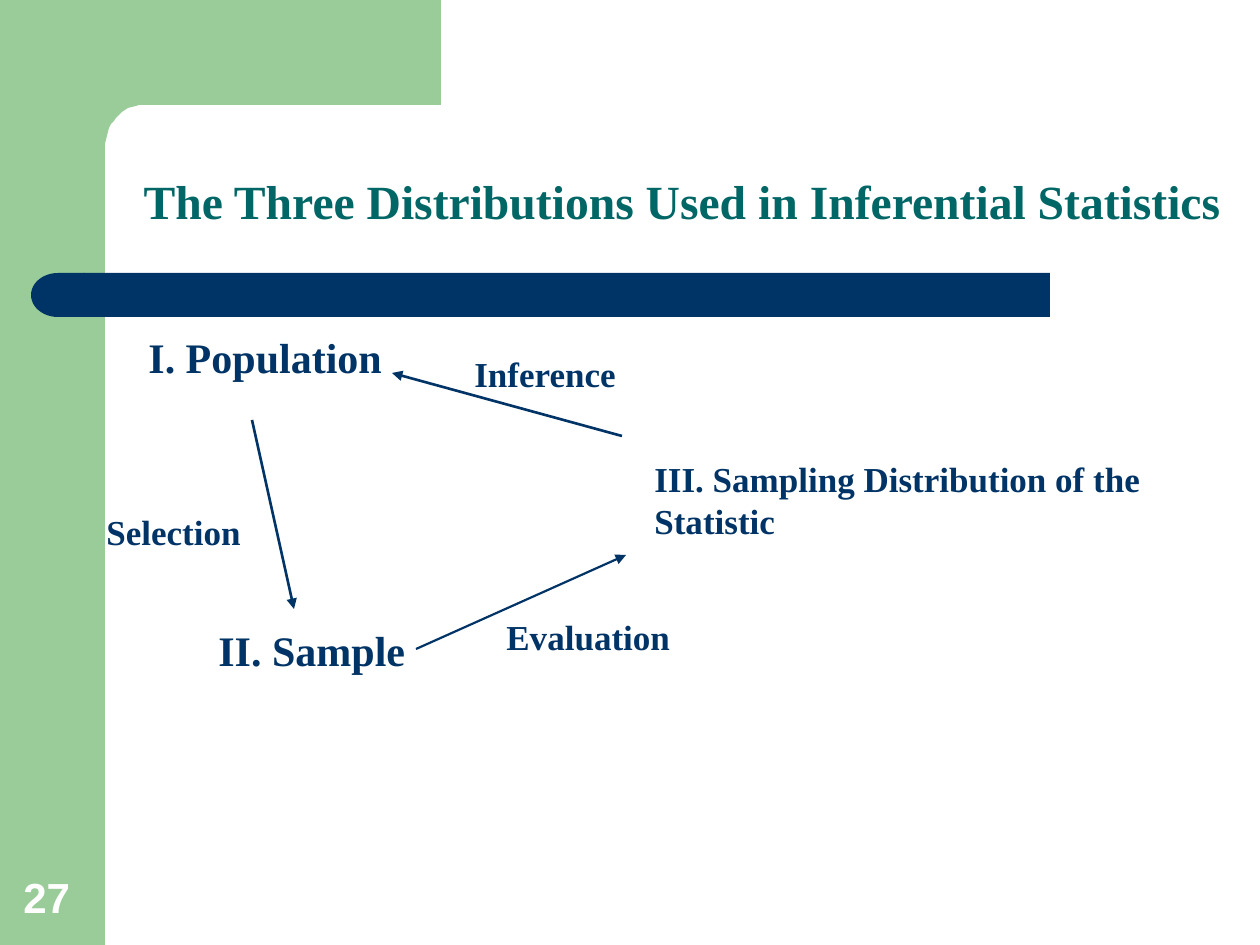
import math

from lxml import etree
from pptx import Presentation
from pptx import util as u
from pptx.dml.color import RGBColor
from pptx.enum import shapes, text
from pptx.oxml.ns import qn

EMU_PER_PX = 914400 / 126

GREEN = RGBColor(0x99, 0xCC, 0x99)
NAVY = RGBColor(0x00, 0x33, 0x66)
TEAL = RGBColor(0x00, 0x66, 0x66)
WHITE = RGBColor(0xFF, 0xFF, 0xFF)
SERIF = "Times New Roman"
SANS = "Arial"


def px(length):
    return u.Emu(round(length * EMU_PER_PX))


def write_text(frame, content, *, size, color=NAVY, font=SERIF,
               align=text.PP_ALIGN.LEFT, before=None, line_spacing=None):
    """Put one bold paragraph into a text frame."""
    paragraph = frame.paragraphs[0]
    paragraph.alignment = align
    if before is not None:
        paragraph.space_before = u.Pt(before)
    if line_spacing is not None:
        paragraph.line_spacing = line_spacing
    run = paragraph.add_run()
    run.text = content
    run.font.name = font
    run.font.size = u.Pt(size)
    run.font.bold = True
    run.font.color.rgb = color


class SlideBuilder:
    """Holds the current slide and draws elements given in px."""

    def __init__(self, slide):
        self.slide = slide

    def paint(self, shape, color):
        shape.shadow.inherit = False
        shape.fill.solid()
        shape.fill.fore_color.rgb = color
        shape.line.fill.background()
        return shape

    def block(self, kind, box, color):
        shape = self.slide.shapes.add_shape(kind, *map(px, box))
        return self.paint(shape, color)

    def outline(self, points, color):
        builder = self.slide.shapes.build_freeform(*points[0], scale=EMU_PER_PX)
        builder.add_line_segments(points[1:], close=True)
        return self.paint(builder.convert_to_shape(), color)

    def text_box(self, box, content, anchor=text.MSO_ANCHOR.TOP, grow=False, **style):
        frame = self.slide.shapes.add_textbox(*map(px, box)).text_frame
        frame.word_wrap = True
        frame.vertical_anchor = anchor
        if grow:
            frame.auto_size = text.MSO_AUTO_SIZE.SHAPE_TO_FIT_TEXT
        write_text(frame, content, **style)

    def label(self, box, content, size):
        self.text_box(box, content, grow=True, size=size, before=size * 0.625)

    def arrow(self, start, end, width):
        connector = self.slide.shapes.add_connector(
            shapes.MSO_CONNECTOR.STRAIGHT, *map(px, start + end))
        connector.line.color.rgb = NAVY
        connector.line.width = u.Pt(width)
        etree.SubElement(connector.line._get_or_add_ln(), qn("a:tailEnd"), type="triangle")
        etree.SubElement(connector._element.spPr, qn("a:effectLst"))


def rounded_corner(center, radius_x, radius_y, steps=16):
    """Points from the top of a quarter ellipse to its left end."""
    angles = [math.pi / 2 * (1 + step / steps) for step in range(steps + 1)]
    return [(round(center[0] + radius_x * math.cos(angle)),
             round(center[1] - radius_y * math.sin(angle))) for angle in angles]


def main():
    presentation = Presentation()
    presentation.slide_width = px(1260)
    presentation.slide_height = px(945)
    slide = presentation.slides.add_slide(presentation.slide_layouts[6])
    builder = SlideBuilder(slide)
    kinds = shapes.MSO_SHAPE

    # Green side band and top corner
    builder.block(kinds.RECTANGLE, (0, 0, 105, 945), GREEN)
    corner = rounded_corner((143, 148), 38, 43)
    builder.outline([(63, 0), (441, 0), (441, 105), *corner, (105, 161), (63, 161)], GREEN)

    # Navy bar with a round left end
    bar = builder.block(kinds.ROUNDED_RECTANGLE, (84, 273, 966, 44), NAVY)
    bar.adjustments[0] = 0
    cap = builder.block(kinds.FLOWCHART_DELAY, (31, 273, 54, 44), NAVY)
    cap.rotation = 180

    # Page number and title
    builder.text_box((11, 861, 81, 67), "27", text.MSO_ANCHOR.BOTTOM,
                     size=24, color=WHITE, font=SANS)
    builder.text_box((105, 136, 1155, 137),
                     "The Three Distributions Used in Inferential Statistics",
                     text.MSO_ANCHOR.MIDDLE, size=27.2, color=TEAL,
                     align=text.PP_ALIGN.CENTER, line_spacing=0.9)

    # The three distributions
    builder.label((642, 451, 618, 97), "III. Sampling Distribution of the Statistic", 20)
    builder.label((136, 325, 311, 63), "I. Population", 24)
    builder.label((206, 618, 252, 63), "II. Sample", 24)

    # Steps between them
    builder.arrow((252, 420), (294, 609), 1.5)
    builder.arrow((416, 649), (626, 555), 1.25)
    builder.arrow((622, 436), (392, 373), 1.5)
    builder.label((94, 504, 179, 55), "Selection", 20)
    builder.label((494, 609, 273, 55), "Evaluation", 20)
    builder.label((462, 346, 242, 55), "Inference", 20)

    presentation.save("out.pptx")


if __name__ == "__main__":
    main()
